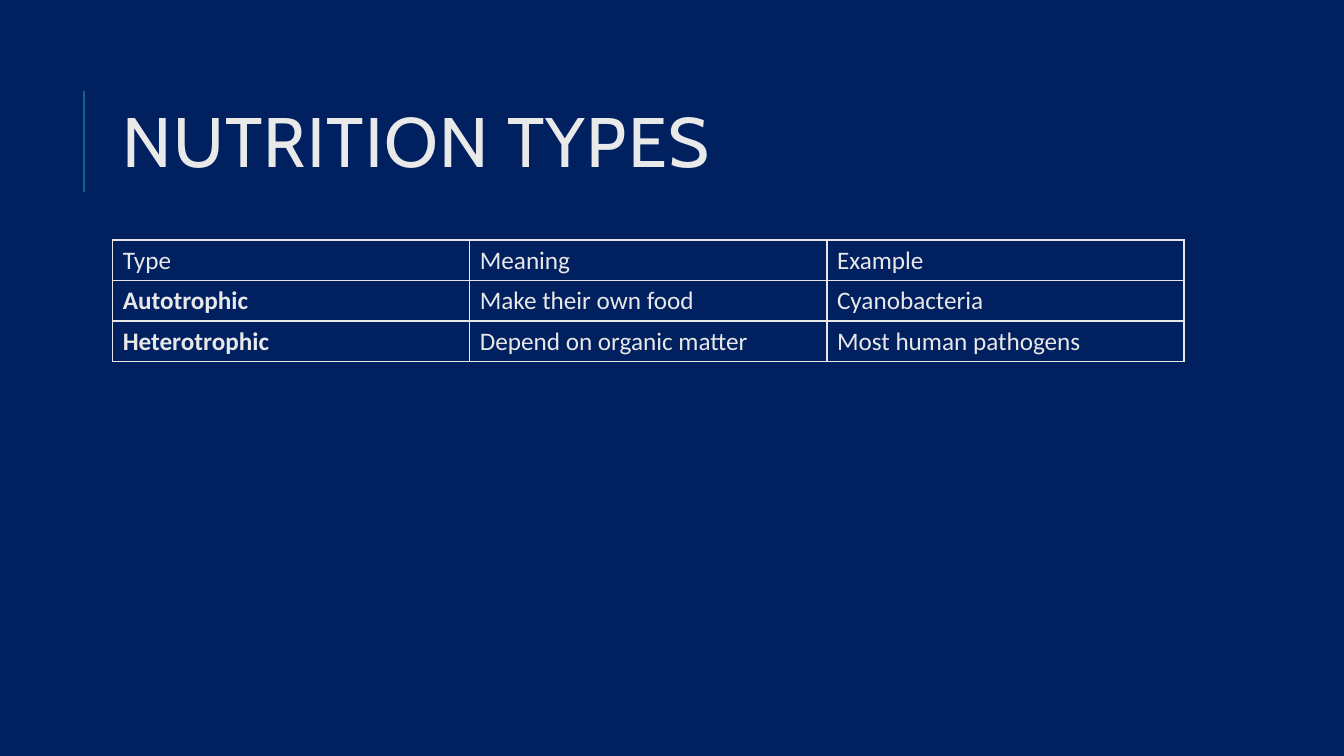
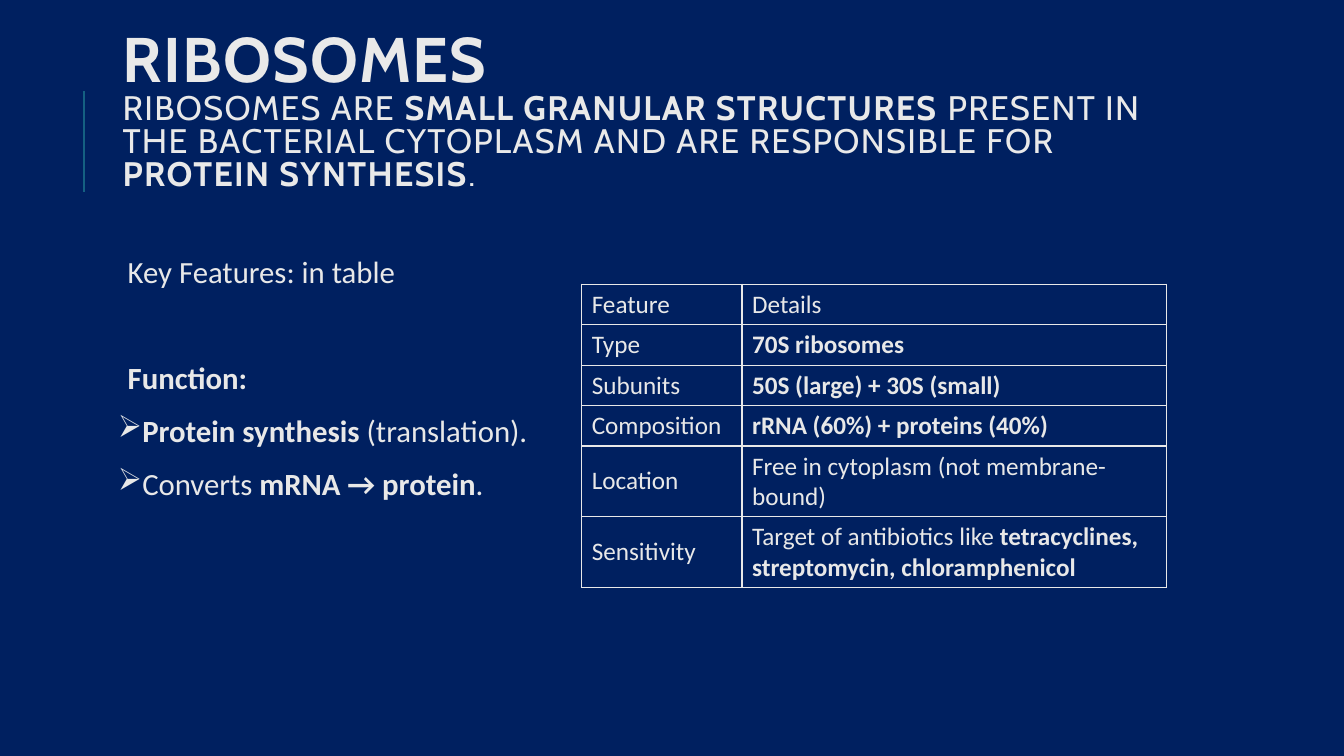
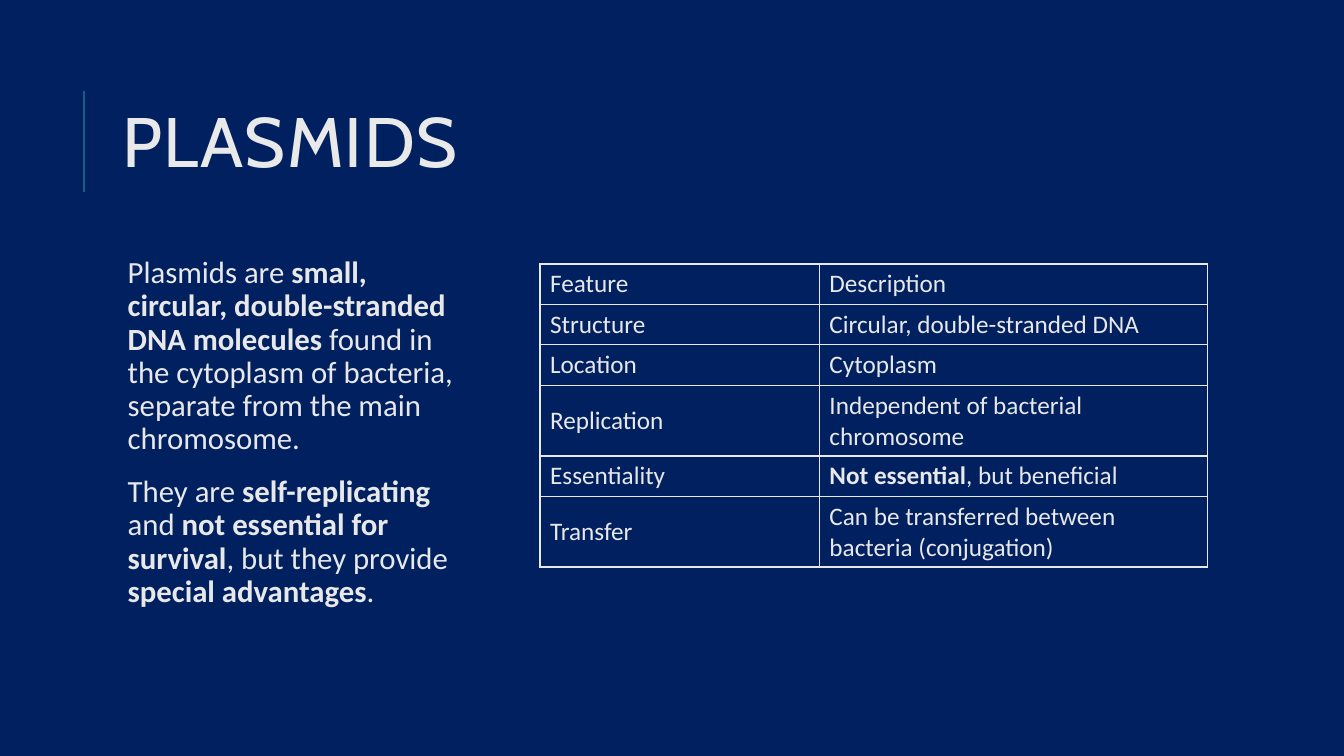
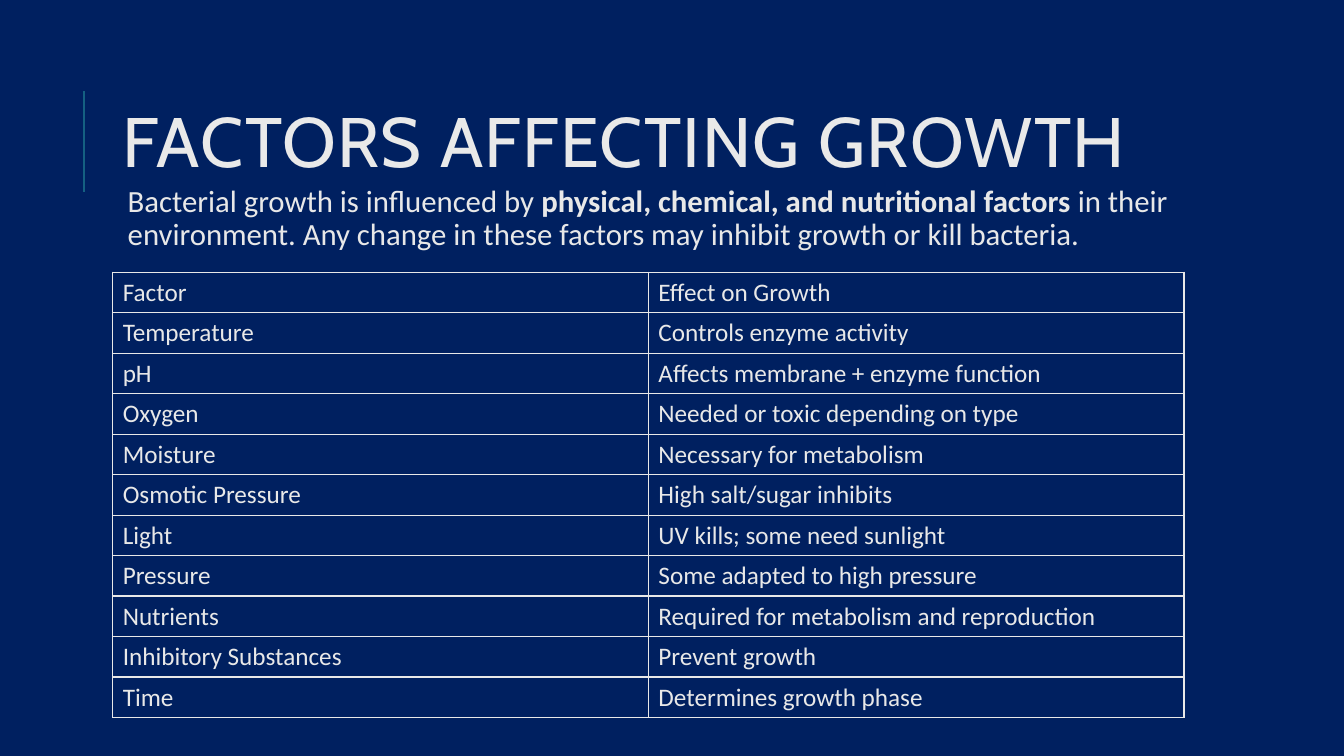
from dataclasses import dataclass

from lxml import etree
from pptx import Presentation
from pptx.dml.color import RGBColor
from pptx.enum import shapes, text
from pptx.oxml import ns
from pptx.util import Cm, Pt


@dataclass(frozen=True)
class Theme:
    background: str = "002060"
    accent: str = "156082"
    title_color: str = "E9E9E9"
    body_color: str = "E8E8E8"
    title_font: str = "Cabin"
    body_font: str = "Calibri"
    title_size: float = 50
    long_title_size: float = 45
    subtitle_size: float = 24.3
    body_size: float = 22
    table_size: float = 18
    left: float = 2.84
    width: float = 27
    row_height: float = 1.02


THEME = Theme()
BULLET = "➢"


def rgb(value):
    return RGBColor.from_string(value)


def add_xml(parent, tag, **attributes):
    return etree.SubElement(parent, ns.qn(tag), attributes)


# Text: parts between ** marks are bold
def write_text(paragraph, content, *, size, font=THEME.body_font,
               color=THEME.body_color, tracking=0, line_spacing=None,
               before=0, after=0):
    paragraph.line_spacing = line_spacing
    paragraph.space_before, paragraph.space_after = Pt(before), Pt(after)
    for index, part in enumerate(content.split("**")):
        if not part:
            continue
        run = paragraph.add_run()
        run.text = part
        run.font.name, run.font.size = font, Pt(size)
        run.font.bold = index % 2 == 1
        run.font.color.rgb = rgb(color)
        if tracking:
            run._r.get_or_add_rPr().set("spc", str(tracking * 100))


def add_frame(slide, left, top, width, height, anchor):
    box = slide.shapes.add_textbox(Cm(left), Cm(top), Cm(width), Cm(height))
    frame = box.text_frame
    frame.word_wrap = True
    frame.vertical_anchor = anchor
    return frame


def next_paragraph(frame, index):
    return frame.add_paragraph() if index else frame.paragraphs[0]


# Title with the accent rule on its left
def add_title(slide, *lines, bottom_margin=0.13):
    rule = slide.shapes.add_connector(
        shapes.MSO_CONNECTOR.STRAIGHT, Cm(2.12), Cm(4.83), Cm(2.12), Cm(2.29))
    rule.line.color.rgb = rgb(THEME.accent)
    rule.line.width = Pt(1.5)
    add_xml(rule._element.spPr, "a:effectLst")

    frame = add_frame(slide, THEME.left, 1.63, THEME.width, 4.17,
                      text.MSO_ANCHOR.MIDDLE)
    frame.margin_bottom = Cm(bottom_margin)
    for index, (content, size) in enumerate(lines):
        write_text(next_paragraph(frame, index), content, size=size,
                   font=THEME.title_font, color=THEME.title_color,
                   tracking=1, line_spacing=0.8)


def set_bullet(paragraph, symbol):
    properties = paragraph._p.get_or_add_pPr()
    indent = Cm(0.25)
    properties.set("marL", str(indent))
    properties.set("indent", str(-indent if symbol else 0))
    if symbol:
        bullet_color = add_xml(properties, "a:buClr")
        add_xml(bullet_color, "a:srgbClr", val=THEME.body_color)
        add_xml(properties, "a:buChar", char=symbol)
    else:
        add_xml(properties, "a:buNone")


# Body: each item is (text, bullet, space before)
def add_body(slide, items, *, width, top=6.35):
    frame = add_frame(slide, THEME.left, top, width, 11.18,
                      text.MSO_ANCHOR.TOP)
    frame.margin_left = frame.margin_right = Cm(0.13)
    for index, (content, symbol, before) in enumerate(items):
        paragraph = next_paragraph(frame, index)
        set_bullet(paragraph, symbol)
        write_text(paragraph, content, size=THEME.body_size,
                   line_spacing=0.9, before=before, after=2)


def set_borders(cell):
    properties = cell._tc.get_or_add_tcPr()
    for position, side in enumerate(("a:lnL", "a:lnR", "a:lnT", "a:lnB")):
        line = etree.Element(ns.qn(side), {"w": str(Pt(1))})
        fill = add_xml(line, "a:solidFill")
        add_xml(fill, "a:srgbClr", val=THEME.body_color)
        properties.insert(position, line)


# Outlined table without fills
def add_table(slide, rows, *, top, columns, left=THEME.left):
    table = slide.shapes.add_table(
        len(rows), len(columns), Cm(left), Cm(top), Cm(sum(columns)),
        Cm(THEME.row_height * len(rows))).table
    table.first_row = table.horz_banding = False
    for column, width in zip(table.columns, columns):
        column.width = Cm(width)
    for row, contents in zip(table.rows, rows):
        row.height = Cm(THEME.row_height)
        for cell, content in zip(row.cells, contents):
            cell.fill.background()
            cell.vertical_anchor = text.MSO_ANCHOR.MIDDLE
            set_borders(cell)
            write_text(cell.text_frame.paragraphs[0], content,
                       size=THEME.table_size)


def build_nutrition(slide):
    add_title(slide, ("NUTRITION TYPES", THEME.title_size))
    add_table(slide, [
        ("Type", "Meaning", "Example"),
        ("**Autotrophic**", "Make their own food", "Cyanobacteria"),
        ("**Heterotrophic**", "Depend on organic matter",
         "Most human pathogens"),
    ], top=6.05, columns=[THEME.width / 3] * 3)


def build_ribosomes(slide):
    add_title(
        slide,
        ("**RIBOSOMES**", THEME.long_title_size),
        ("RIBOSOMES ARE **SMALL GRANULAR STRUCTURES** PRESENT IN THE "
         "BACTERIAL CYTOPLASM AND ARE RESPONSIBLE FOR "
         "**PROTEIN SYNTHESIS**.", THEME.subtitle_size),
        bottom_margin=1.83)
    add_body(slide, [
        ("Key Features: in table", None, 0),
        ("**Function:**", None, 50),
        ("**Protein synthesis** (translation).", BULLET, 12),
        ("Converts **mRNA → protein**.", BULLET, 12),
    ], width=11.56)
    add_table(slide, [
        ("Feature", "Details"),
        ("Type", "**70S ribosomes**"),
        ("Subunits", "**50S (large) + 30S (small)**"),
        ("Composition", "**rRNA (60%) + proteins (40%)**"),
        ("Location", "Free in cytoplasm (not membrane-bound)"),
        ("Sensitivity", "Target of antibiotics like **tetracyclines, "
                        "streptomycin, chloramphenicol**"),
    ], left=14.66, top=7.16, columns=[4.04, 10.69])


def build_plasmids(slide):
    add_title(slide, ("PLASMIDS", THEME.title_size))
    add_body(slide, [
        ("Plasmids are **small, circular, double-stranded DNA molecules** "
         "found in the cytoplasm of bacteria, separate from the main "
         "chromosome.", None, 0),
        ("They are **self-replicating** and **not essential for survival**, "
         "but they provide **special advantages**.", None, 12),
    ], width=9.02)
    add_table(slide, [
        ("Feature", "Description"),
        ("Structure", "Circular, double-stranded DNA"),
        ("Location", "Cytoplasm"),
        ("Replication", "Independent of bacterial chromosome"),
        ("Essentiality", "**Not essential**, but beneficial"),
        ("Transfer", "Can be transferred between bacteria (conjugation)"),
    ], left=13.61, top=6.65, columns=[7.04, 9.78])


def build_growth(slide):
    add_title(slide, ("FACTORS AFFECTING GROWTH", THEME.title_size))
    add_body(slide, [
        ("Bacterial growth is influenced by **physical, chemical, and "
         "nutritional factors** in their environment. Any change in these "
         "factors may inhibit growth or kill bacteria.", None, 0),
    ], width=THEME.width, top=4.55)
    add_table(slide, [
        ("Factor", "Effect on Growth"),
        ("Temperature", "Controls enzyme activity"),
        ("pH", "Affects membrane + enzyme function"),
        ("Oxygen", "Needed or toxic depending on type"),
        ("Moisture", "Necessary for metabolism"),
        ("Osmotic Pressure", "High salt/sugar inhibits"),
        ("Light", "UV kills; some need sunlight"),
        ("Pressure", "Some adapted to high pressure"),
        ("Nutrients", "Required for metabolism and reproduction"),
        ("Inhibitory Substances", "Prevent growth"),
        ("Time", "Determines growth phase"),
    ], top=6.86, columns=[THEME.width / 2] * 2)


def main():
    presentation = Presentation()
    presentation.slide_width, presentation.slide_height = Cm(33.87), Cm(19.05)
    background = presentation.slide_master.background.fill
    background.solid()
    background.fore_color.rgb = rgb(THEME.background)
    blank = presentation.slide_layouts[6]
    for build in (build_nutrition, build_ribosomes, build_plasmids,
                  build_growth):
        build(presentation.slides.add_slide(blank))
    presentation.save("out.pptx")


if __name__ == "__main__":
    main()
